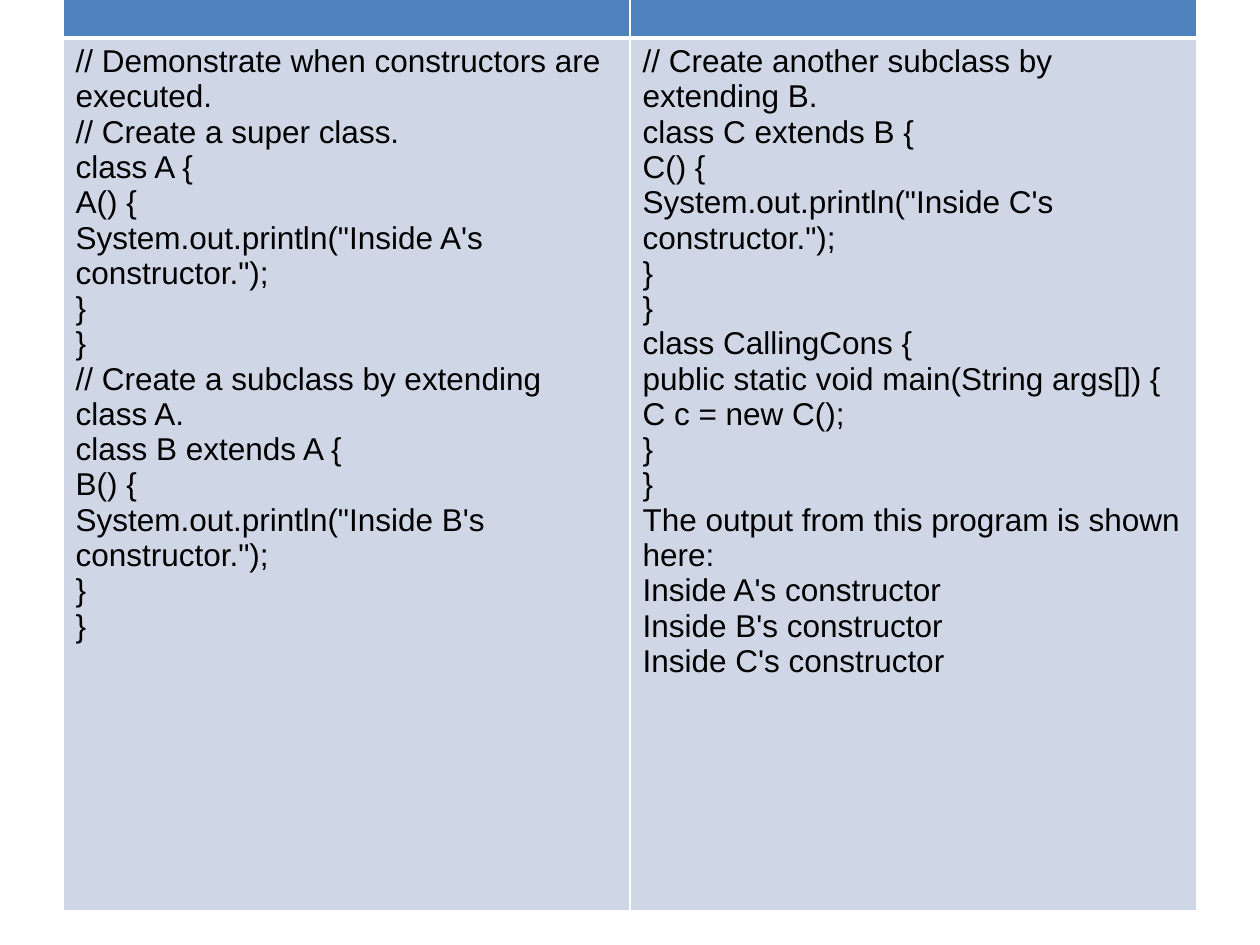
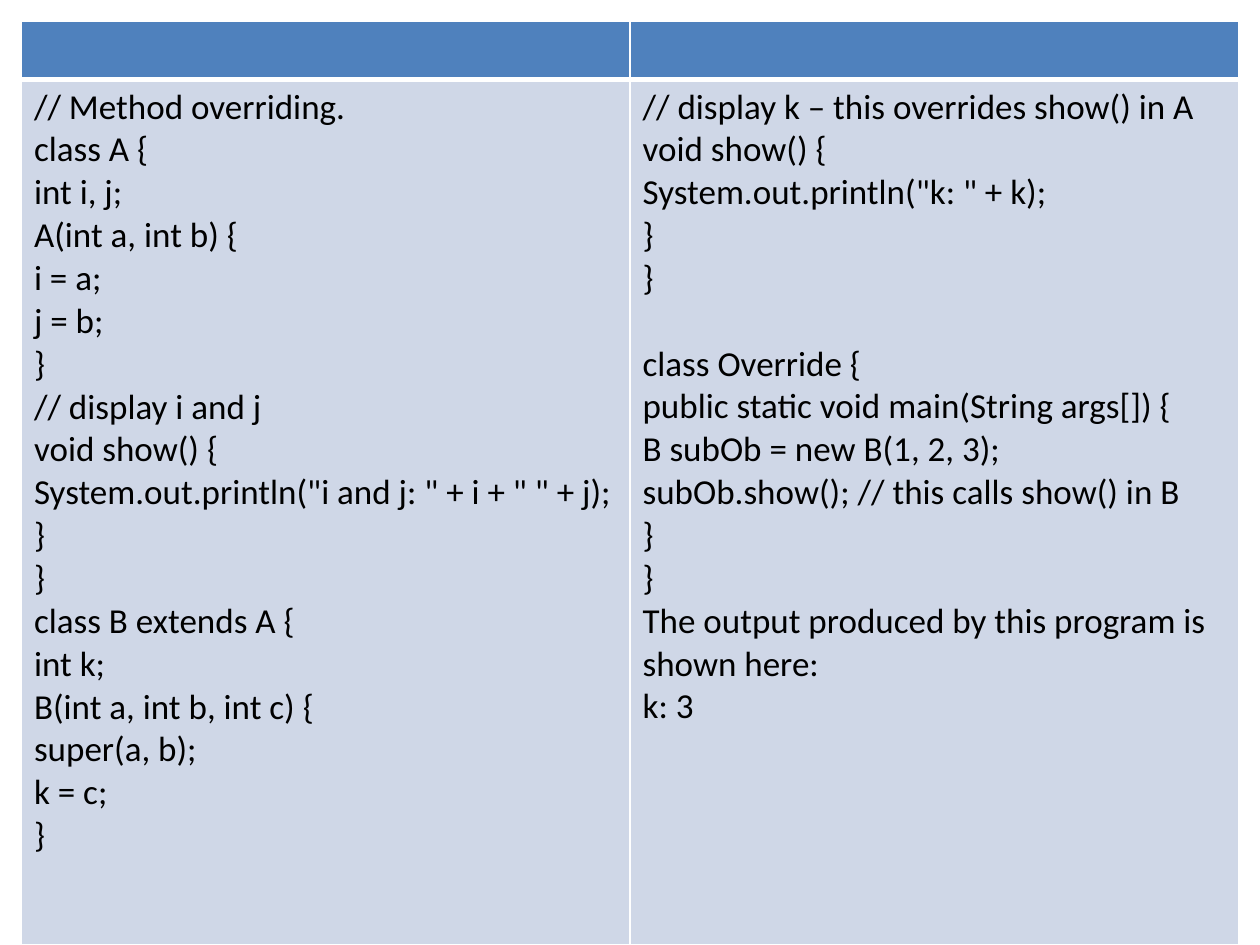
from dataclasses import dataclass

from pptx import Presentation
from pptx.dml.color import RGBColor as Rgb
from pptx.oxml.xmlchemy import OxmlElement as Element
from pptx.util import Inches, Pt


@dataclass(frozen=True)
class Theme:
    header: str = "4F81BD"
    body: str = "CFD7E7"
    border: str = "FFFFFF"
    text: str = "000000"
    thin: float = 1
    thick: float = 3
    line_height: float = 1.22


THEME = Theme()

# Each string holds the code of one table column
CONSTRUCTORS = (
    """\
// Demonstrate when constructors are executed.
// Create a super class.
class A {
A() {
System.out.println("Inside A's constructor.");
}
}
// Create a subclass by extending class A.
class B extends A {
B() {
System.out.println("Inside B's constructor.");
}
}""",
    """\
// Create another subclass by extending B.
class C extends B {
C() {
System.out.println("Inside C's constructor.");
}
}
class CallingCons {
public static void main(String args[]) {
C c = new C();
}
}
The output from this program is shown here:
Inside A's constructor
Inside B's constructor
Inside C's constructor""",
)

OVERRIDING = (
    """\
// Method overriding.
class A {
int i, j;
A(int a, int b) {
i = a;
j = b;
}
// display i and j
void show() {
System.out.println("i and j: " + i + " " + j);
}
}
class B extends A {
int k;
B(int a, int b, int c) {
super(a, b);
k = c;
}""",
    """\
// display k – this overrides show() in A
void show() {
System.out.println("k: " + k);
}
}

class Override {
public static void main(String args[]) {
B subOb = new B(1, 2, 3);
subOb.show(); // this calls show() in B
}
}
The output produced by this program is shown here:
k: 3""",
)


def style_cell(cell, fill, top, bottom):
    """Fill a cell and draw its four borders, widths in points."""
    cell.fill.solid()
    cell.fill.fore_color.rgb = Rgb.from_string(fill)
    properties = cell._tc.get_or_add_tcPr()
    widths = {"L": THEME.thin, "R": THEME.thin, "T": top, "B": bottom}
    for position, (side, width) in enumerate(widths.items()):
        line = Element(f"a:ln{side}")
        line.set("w", str(Pt(width)))
        solid = Element("a:solidFill")
        color = Element("a:srgbClr")
        color.set("val", THEME.border)
        solid.append(color)
        line.append(solid)
        properties.insert(position, line)


def size_empty_cell(cell, font, size):
    """Give an empty cell the type that sets its minimum height."""
    end = Element("a:endParaRPr")
    end.set("sz", str(size * 100))
    latin = Element("a:latin")
    latin.set("typeface", font)
    end.append(latin)
    cell.text_frame.paragraphs[0]._p.append(end)


def write_code(cell, code, font, size):
    """Write one paragraph per line; a blank line becomes space before."""
    lines = code.splitlines()
    cell.text_frame.text = "\n".join(line for line in lines if line)
    gaps = [not before for before, line in zip(["-"] + lines, lines) if line]
    for para, gap in zip(cell.text_frame.paragraphs, gaps):
        if gap:
            para.space_before = Pt(size * THEME.line_height)
        for span in para.runs:
            span.font.name = font
            span.font.size = Pt(size)
            span.font.color.rgb = Rgb.from_string(THEME.text)


def add_code_table(page, columns, left, top, column_width, row_heights, font, size):
    """Add a table with an empty header band above the code columns."""
    table = page.shapes.add_table(
        len(row_heights), len(columns), Inches(left), Inches(top),
        Inches(column_width * len(columns)), Inches(sum(row_heights)),
    ).table
    for row, height in zip(table.rows, row_heights):
        row.height = Inches(height)
    for index, code in enumerate(columns):
        table.columns[index].width = Inches(column_width)
        header, body = table.cell(0, index), table.cell(1, index)
        style_cell(header, THEME.header, THEME.thin, THEME.thick)
        style_cell(body, THEME.body, THEME.thick, THEME.thin)
        size_empty_cell(header, font, size)
        write_code(body, code, font, size)


def main():
    deck = Presentation()
    deck.slide_width, deck.slide_height = Inches(10), Inches(7.5)
    blank = deck.slide_layouts[6]

    # Order in which constructors run
    page = deck.slides.add_slide(blank)
    add_code_table(page, CONSTRUCTORS, 0.5, -0.08, 4.5, (0.25, 6.93), "Arial", 18)

    # Method overriding
    page = deck.slides.add_slide(blank)
    add_code_table(page, OVERRIDING, 0.17, 0.17, 4.83, (0.46, 6.87), "Calibri", 20)

    deck.save("out.pptx")


if __name__ == "__main__":
    main()
